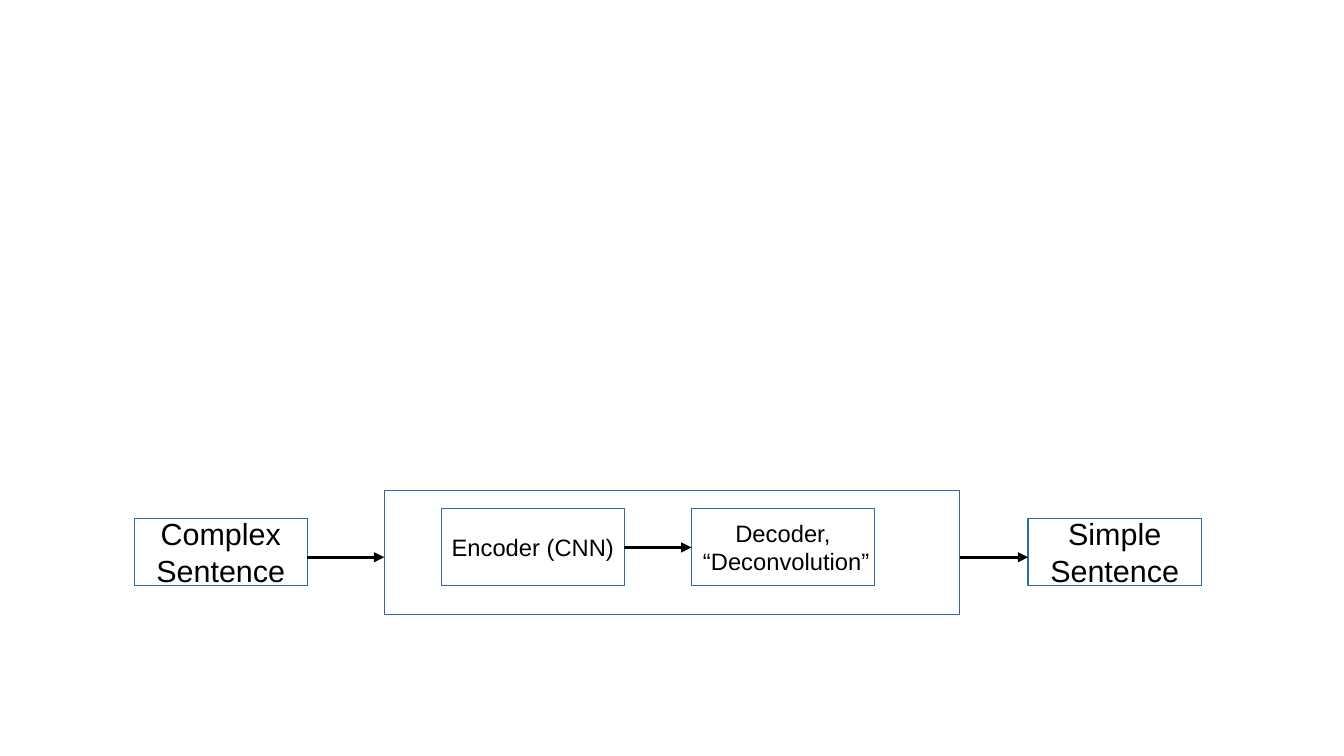
from lxml import etree
from pptx import Presentation
from pptx import util as u
from pptx.dml.color import RGBColor
from pptx.enum import shapes, text
from pptx.oxml import ns

GRID = 0.1
COLUMNS, ROWS = 110.2, 62


def cells(count):
    return u.Inches(count * GRID)


def colour(value):
    return RGBColor.from_string(value)


def write(shape, content, size=14, font="Arial", ink="000000"):
    frame = shape.text_frame
    frame.word_wrap = False
    frame.vertical_anchor = text.MSO_ANCHOR.MIDDLE
    frame.text = content
    for paragraph in frame.paragraphs:
        paragraph.alignment = text.PP_ALIGN.CENTER
        for run in paragraph.runs:
            run.font.size = u.Pt(size)
            run.font.name = font
            run.font.color.rgb = colour(ink)


class Diagram:
    outline = "3465A4"
    arrow_ink = "000000"
    line_width = 0

    def __init__(self, slide):
        self.slide = slide

    def box(self, left, top, width, height, content="", **style):
        shape = self.slide.shapes.add_shape(
            shapes.MSO_SHAPE.RECTANGLE,
            cells(left), cells(top), cells(width), cells(height))
        shape.shadow.inherit = False
        shape.fill.background()
        shape.line.color.rgb = colour(self.outline)
        shape.line.width = u.Pt(self.line_width)
        if content:
            write(shape, content, **style)
        return shape

    def arrow(self, source, target, row):
        connector = self.slide.shapes.add_connector(
            shapes.MSO_CONNECTOR.STRAIGHT,
            source, cells(row), target, cells(row))
        connector.line.color.rgb = colour(self.arrow_ink)
        connector.line.width = u.Pt(self.line_width)
        properties = connector.element.spPr
        outline = properties.find(ns.qn("a:ln"))
        etree.SubElement(outline, ns.qn("a:tailEnd"), type="triangle")
        etree.SubElement(properties, ns.qn("a:effectLst"))


def main():
    presentation = Presentation()
    presentation.slide_width = cells(COLUMNS)
    presentation.slide_height = cells(ROWS)
    slide = presentation.slides.add_slide(presentation.slide_layouts[6])
    diagram = Diagram(slide)

    sentence_top, sentence_size = 42.5, (14.2, 5.5)
    stage_top, stage_size = 41.7, (15, 6.3)
    outer_row, inner_row = 45.7, 44.9

    complex_sentence = diagram.box(
        11, sentence_top, *sentence_size, "Complex\nSentence", size=18)
    model = diagram.box(31.5, 40.2, 47.2, 10.2)
    encoder = diagram.box(36.2, stage_top, *stage_size, "Encoder (CNN)")
    decoder = diagram.box(
        56.7, stage_top, *stage_size, "Decoder,\n “Deconvolution”")
    simple_sentence = diagram.box(
        84.3, sentence_top, *sentence_size, "Simple\nSentence", size=18)

    for source, target, row in (
            (complex_sentence, model, outer_row),
            (encoder, decoder, inner_row),
            (model, simple_sentence, outer_row)):
        diagram.arrow(source.left + source.width, target.left, row)

    presentation.save("out.pptx")


if __name__ == "__main__":
    main()
